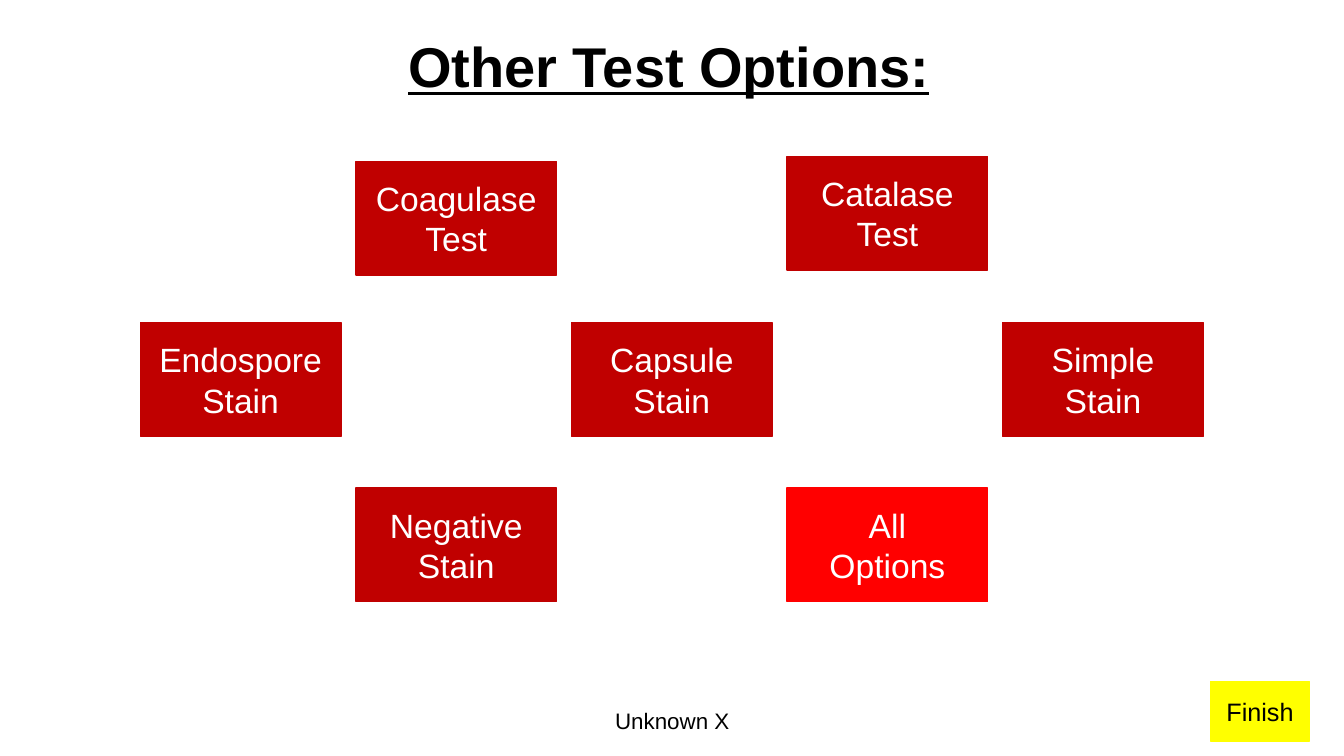
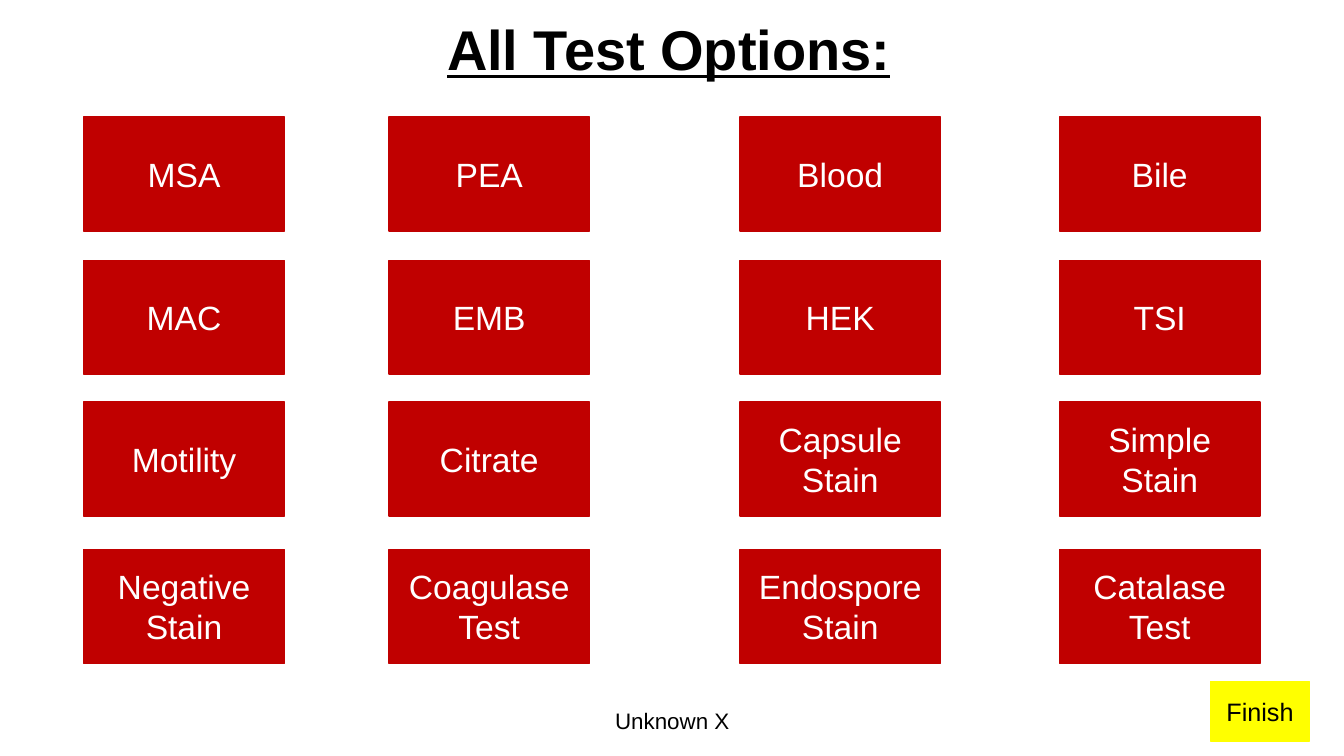
from dataclasses import dataclass

from pptx import Presentation
from pptx.dml.color import RGBColor
from pptx.enum.shapes import MSO_SHAPE
from pptx.enum.text import MSO_ANCHOR, MSO_AUTO_SIZE, PP_ALIGN
from pptx.util import Pt

RECTANGLE = MSO_SHAPE.RECTANGLE
CENTER = PP_ALIGN.CENTER
TOP, MIDDLE = MSO_ANCHOR.TOP, MSO_ANCHOR.MIDDLE
NO_AUTOFIT = MSO_AUTO_SIZE.NONE
TITLE_ONLY = 5


@dataclass(frozen=True)
class Theme:
    font: str = "Arial"
    ink: RGBColor = RGBColor(0x00, 0x00, 0x00)
    card_ink: RGBColor = RGBColor(0xFF, 0xFF, 0xFF)
    test: RGBColor = RGBColor(0xC0, 0x00, 0x00)
    all_options: RGBColor = RGBColor(0xFF, 0x00, 0x00)
    finish: RGBColor = RGBColor(0xFF, 0xFF, 0x00)
    title_size: int = 40
    card_size: int = 24
    finish_size: int = 18
    footer_size: int = 16


THEME = Theme()

# Boxes are (left, top, width, height) in points.
SLIDE_SIZE = (960, 540)
FOOTER_BOX = (318.2, 500.4, 324, 28.8)
FINISH_BOX = (864.7, 486.7, 70.6, 42.5)
TITLE_LEFT, TITLE_WIDTH, TITLE_HEIGHT = 277.7, 400, 55.4
CARD_SIZE = (143.3, 81.4)

# The other tests sit on five evenly spaced slots: (slot, top, label, fill).
SLOT_LEFT, SLOT_PITCH = 100.2, 154
OTHER_TESTS = [
    (1, 115.2, "Coagulase Test", THEME.test),
    (3, 111.6, "Catalase Test", THEME.test),
    (0, 230.4, "Endospore Stain", THEME.test),
    (2, 230.4, "Capsule Stain", THEME.test),
    (4, 230.4, "Simple Stain", THEME.test),
    (1, 348.5, "Negative Stain", THEME.test),
    (3, 348.5, "All\nOptions", THEME.all_options),
]

GRID_LEFTS = [59.8, 277.8, 528.5, 756.7]
GRID_TOPS = [83.5, 185.9, 287.2, 392.4]
ALL_TESTS = [
    ["MSA", "PEA", "Blood", "Bile"],
    ["MAC", "EMB", "HEK", "TSI"],
    ["Motility", "Citrate", "Capsule Stain", "Simple Stain"],
    ["Negative Stain", "Coagulase Test", "Endospore Stain", "Catalase Test"],
]


def points(box):
    return [Pt(length) for length in box]


def write(shape, text, size, color, anchor=MIDDLE, emphasis=False):
    """Centre the text, one paragraph per line; emphasis is bold and underlined."""
    frame = shape.text_frame
    frame.word_wrap = True
    frame.auto_size = NO_AUTOFIT
    frame.vertical_anchor = anchor
    for index, line in enumerate(text.split("\n")):
        paragraph = frame.add_paragraph() if index else frame.paragraphs[0]
        paragraph.alignment = CENTER
        run = paragraph.add_run()
        run.text = line
        run.font.name = THEME.font
        run.font.size = Pt(size)
        run.font.color.rgb = color
        run.font.bold = run.font.underline = emphasis


def add_button(slide, box, label, fill, size, color):
    button = slide.shapes.add_shape(RECTANGLE, *points(box))
    button.shadow.inherit = False
    button.fill.solid()
    button.fill.fore_color.rgb = fill
    button.line.color.rgb = fill
    button.line.width = Pt(1)
    write(button, label, size, color)


def add_card(slide, left, top, label, fill=THEME.test):
    add_button(slide, (left, top, *CARD_SIZE), label, fill,
               THEME.card_size, THEME.card_ink)


def add_options_slide(deck, heading, title_top):
    """Add a slide with the title, footer and Finish button that all share."""
    slide = deck.slides.add_slide(deck.slide_layouts[TITLE_ONLY])
    title = slide.shapes.title
    title.left, title.top, title.width, title.height = points(
        (TITLE_LEFT, title_top, TITLE_WIDTH, TITLE_HEIGHT))
    write(title, heading, THEME.title_size, THEME.ink, TOP, emphasis=True)
    footer = slide.shapes.add_textbox(*points(FOOTER_BOX))
    write(footer, "Unknown X", THEME.footer_size, THEME.ink)
    add_button(slide, FINISH_BOX, "Finish", THEME.finish,
               THEME.finish_size, THEME.ink)
    return slide


def add_other_tests(slide):
    for slot, top, label, fill in OTHER_TESTS:
        add_card(slide, SLOT_LEFT + slot * SLOT_PITCH, top, label, fill)


def add_all_tests(slide):
    for top, labels in zip(GRID_TOPS, ALL_TESTS):
        for left, label in zip(GRID_LEFTS, labels):
            add_card(slide, left, top, label)


def main():
    deck = Presentation()
    deck.slide_width, deck.slide_height = points(SLIDE_SIZE)
    add_other_tests(add_options_slide(deck, "Other Test Options:", 18.7))
    add_all_tests(add_options_slide(deck, "All Test Options:", 6.5))
    deck.save("out.pptx")


if __name__ == "__main__":
    main()
